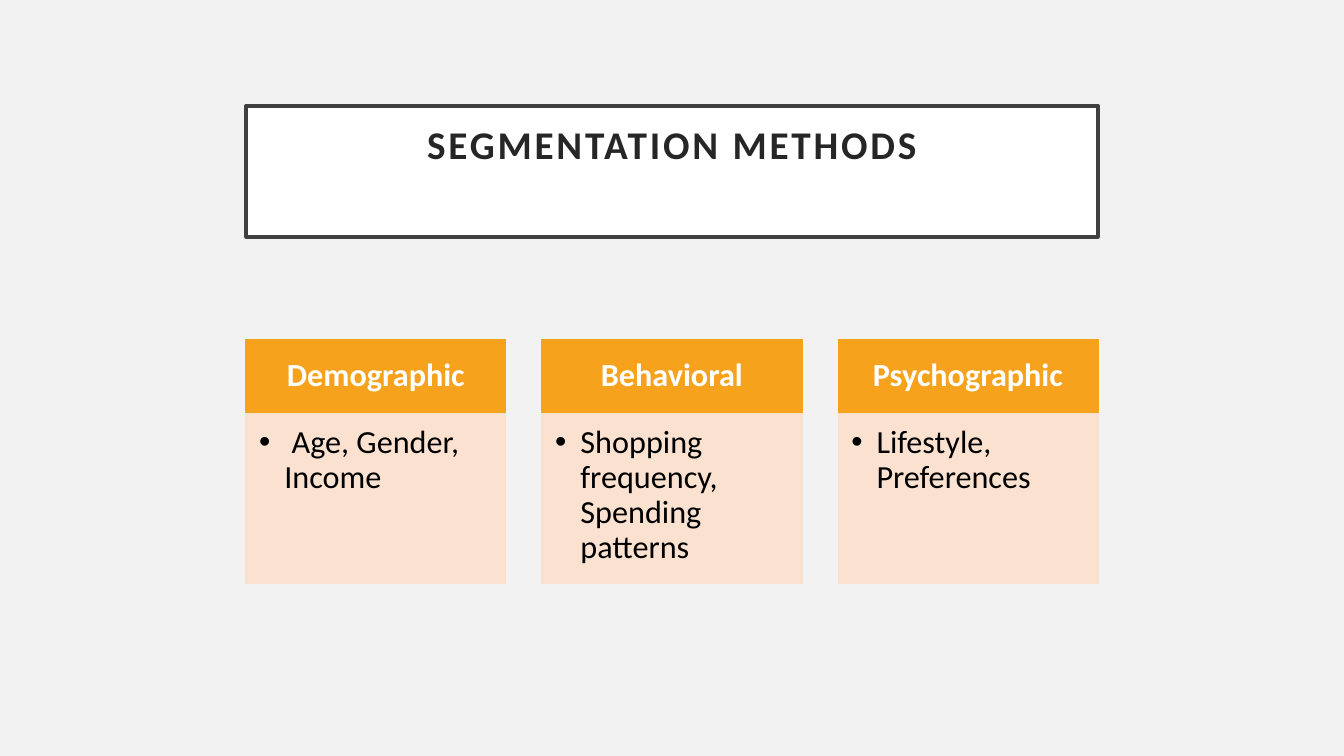
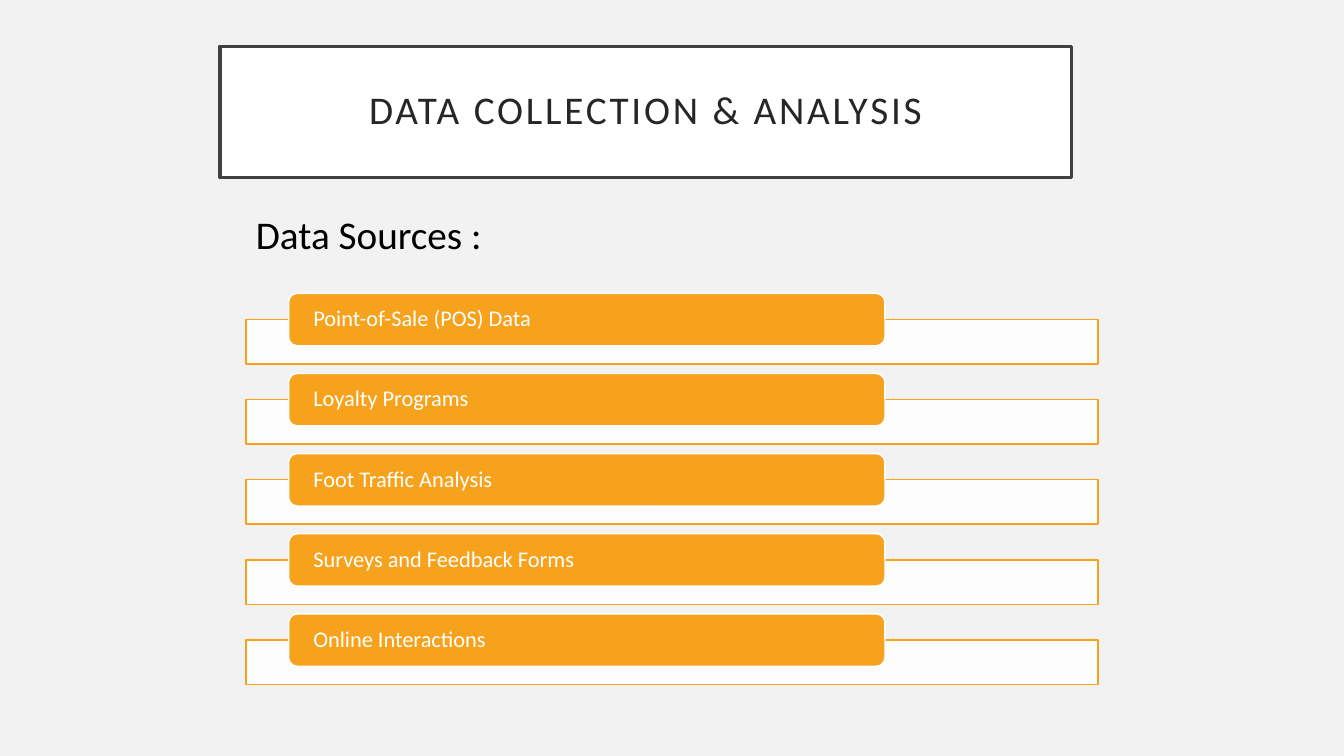
from lxml import etree
from pptx import Presentation
from pptx.dml.color import RGBColor
from pptx.enum.shapes import MSO_SHAPE
from pptx.enum.text import MSO_ANCHOR, MSO_AUTO_SIZE, PP_ALIGN
from pptx.oxml.ns import qn
from pptx.util import Inches, Pt

RECT, ROUND = MSO_SHAPE.RECTANGLE, MSO_SHAPE.ROUNDED_RECTANGLE
TOP, MIDDLE = MSO_ANCHOR.TOP, MSO_ANCHOR.MIDDLE
LEFT, CENTER = PP_ALIGN.LEFT, PP_ALIGN.CENTER
TITLE_ONLY = 5

COLORS = {"back": "F2F2F2", "white": "FFFFFF", "frame": "404040",
          "title": "262626", "accent": "F6A21D", "peach": "FBE0CD",
          "black": "000000"}
FONT = "Calibri"
SIDES = ("left", "top", "right", "bottom")
WIDTH = 8.45
MARGIN = 2.44

CARDS = [("Demographic", " Age, Gender, Income"),
         ("Behavioral", "Shopping frequency, Spending patterns"),
         ("Psychographic", "Lifestyle, Preferences")]
SOURCES = ["Point-of-Sale (POS) Data", "Loyalty Programs",
           "Foot Traffic Analysis", "Surveys and Feedback Forms",
           "Online Interactions"]


def color(name):
    return RGBColor.from_string(COLORS[name])


def paint(shape, fill, line, weight=1):
    shape.fill.solid()
    shape.fill.fore_color.rgb = color(fill)
    shape.line.color.rgb = color(line)
    shape.line.width = Pt(weight)


def fade(shape, percent):
    """Make the fill of a shape partly transparent."""
    tint = shape.fill._xPr.find(qn("a:solidFill"))[0]
    etree.SubElement(tint, qn("a:alpha"), val=str(percent * 1000))


def add_box(slide, kind, box, fill, line):
    shape = slide.shapes.add_shape(kind, *map(Inches, box))
    shape.shadow.inherit = False
    paint(shape, fill, line)
    return shape


def add_bullet(para, indent):
    props = para._p.get_or_add_pPr()
    props.set("marL", str(Inches(indent)))
    props.set("indent", str(-Inches(indent)))
    etree.SubElement(props, qn("a:buFont"), typeface="Arial")
    etree.SubElement(props, qn("a:buChar"), char="•")


def write(shape, text, size, tint, insets, anchor=MIDDLE, align=LEFT,
          bold=False, indent=0, spacing=0.9):
    """Fill a shape with one formatted paragraph and return its run."""
    frame = shape.text_frame
    frame.word_wrap = True
    frame.auto_size = MSO_AUTO_SIZE.NONE
    frame.vertical_anchor = anchor
    for side, inset in zip(SIDES, insets):
        setattr(frame, "margin_" + side, Inches(inset))
    para = frame.paragraphs[0]
    if indent:
        add_bullet(para, indent)
    para.alignment = align
    para.line_spacing = spacing
    run = para.add_run()
    run.text = text
    style = {"name": FONT, "size": Pt(size), "bold": bold}
    for key, value in style.items():
        setattr(run.font, key, value)
    run.font.color.rgb = color(tint)
    return run


def add_slide(deck, text, left, top, **style):
    """Add a slide whose title stands in a framed white band."""
    slide = deck.slides.add_slide(deck.slide_layouts[TITLE_ONLY])
    title = slide.shapes.title
    box = {"left": left, "top": top, "width": WIDTH, "height": 1.3}
    for key, value in box.items():
        setattr(title, key, Inches(value))
    paint(title, "white", "frame", 2.5)
    run = write(title, text, 28, "title", [0.2] * 4, align=CENTER, **style)
    run.font._element.set("spc", "200")
    return slide


def add_card(slide, box, head, body):
    left, top, width, height = box
    split = height * 0.3
    low = add_box(slide, RECT, (left, top + split, width, height - split),
                  "peach", "peach")
    fade(low, 90)
    write(low, body, 23, "black", (0.13, 0.13, 0.18, 0.2), TOP, indent=0.25)
    high = add_box(slide, RECT, (left, top, width, split), "accent", "accent")
    write(high, head, 23, "white", (0.18, 0.1, 0.18, 0.1), align=CENTER,
          bold=True)


def add_cards(slide, box, cards, gap=0.36):
    left, top, width, height = box
    wide = (width - gap * (len(cards) - 1)) / len(cards)
    for col, (head, body) in enumerate(cards):
        place = left + col * (wide + gap), top, wide, height
        add_card(slide, place, head, body)


def add_bars(slide, box, labels):
    """Stack labelled tabs, each overlapping the top of a wide bar."""
    left, top, width, height = box
    tab, bar, drop = 0.52, 0.44, 0.26
    pitch = (height - drop - bar) / (len(labels) - 1)
    for row, label in enumerate(labels):
        high = top + row * pitch
        back = add_box(slide, RECT, (left, high + drop, width, bar),
                       "white", "accent")
        fade(back, 90)
        front = add_box(slide, ROUND,
                        (left + width * 0.05, high, width * 0.7, tab),
                        "accent", "white")
        write(front, label, 16, "white", (0.22, 0, 0.22, 0))


def main():
    deck = Presentation()
    deck.slide_width, deck.slide_height = Inches(13.33), Inches(7.5)
    back = deck.slide_master.background.fill
    back.solid()
    back.fore_color.rgb = color("back")

    slide = add_slide(deck, "SEGMENTATION METHODS", MARGIN, 1.05,
                      anchor=TOP, bold=True)
    add_cards(slide, (MARGIN, 3.37, WIDTH, 2.42), CARDS)

    slide = add_slide(deck, "DATA COLLECTION & ANALYSIS", 2.18, 0.46)
    add_bars(slide, (MARGIN, 2.91, WIDTH, 3.88), SOURCES)
    lead = slide.shapes.add_textbox(*map(Inches, (MARGIN, 2.04, 6.25, 0.57)))
    write(lead, "Data Sources :", 28, "black", (0.1, 0.05, 0.1, 0.05), TOP,
          spacing=1.0)

    deck.save("out.pptx")


if __name__ == "__main__":
    main()
